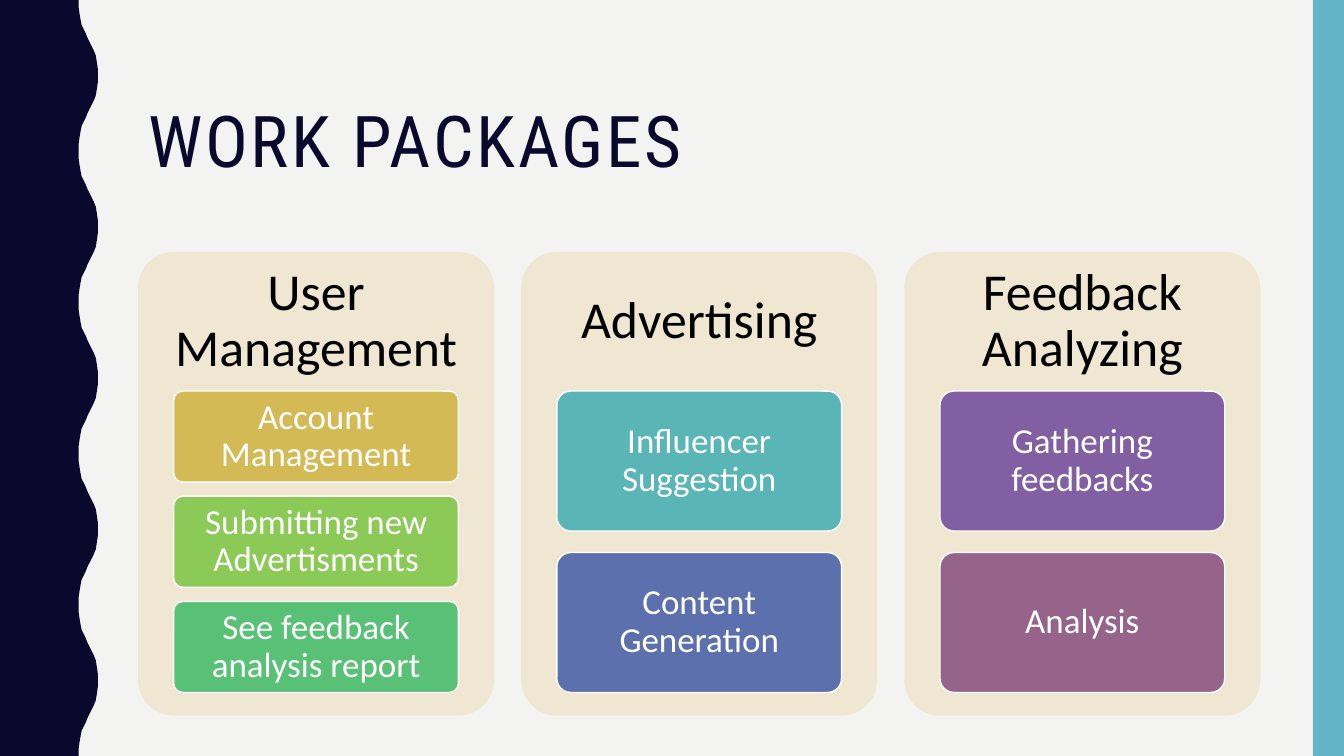
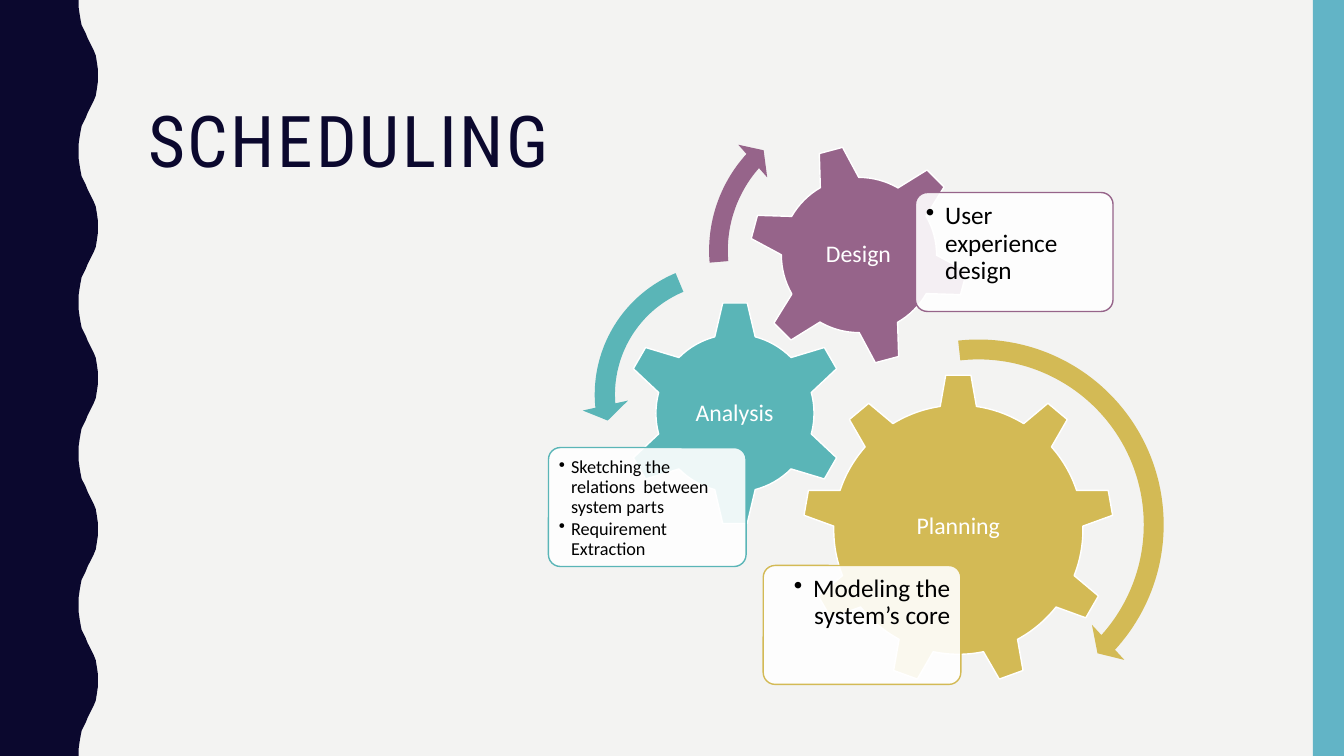
"""Build two project slides: work packages and scheduling."""
from lxml import etree
from pptx import Presentation
from pptx import util as u
from pptx.dml.color import RGBColor
from pptx.enum import shapes, text
from pptx.oxml.ns import qn

NAVY = RGBColor(0x0B, 0x08, 0x2E)
SKY = RGBColor(0x62, 0xB4, 0xC6)
PAPER = RGBColor(0xF3, 0xF3, 0xF2)
SAND = RGBColor(0xEF, 0xE7, 0xD1)
GOLD = RGBColor(0xD3, 0xBA, 0x55)
LIME = RGBColor(0x8B, 0xCA, 0x56)
GREEN = RGBColor(0x58, 0xC1, 0x75)
TEAL = RGBColor(0x5A, 0xB5, 0xB7)
BLUE = RGBColor(0x5C, 0x70, 0xAD)
VIOLET = RGBColor(0x81, 0x5F, 0xA2)
PLUM = RGBColor(0x96, 0x64, 0x8A)
WHITE = RGBColor(0xFF, 0xFF, 0xFF)
BLACK = RGBColor(0, 0, 0)

KIND = shapes.MSO_SHAPE
ALIGN = text.PP_ALIGN
ANCHOR = text.MSO_ANCHOR
WIDTH, HEIGHT = 13.33, 7.5
TITLE_BOX = (1.37, 1, 11.13, 1.05)

WAVE_PERIOD = 1.5
WAVE_RISE = [(0.78, 0), (0.78, 0.07), (0.79, 0.14), (0.8, 0.2), (0.81, 0.25),
             (0.83, 0.29), (0.85, 0.33), (0.87, 0.38), (0.89, 0.42), (0.91, 0.46),
             (0.93, 0.5), (0.95, 0.55), (0.96, 0.61), (0.97, 0.68), (0.97, 0.75)]

PACKAGES = [
    ("User Management", [("Account Management", GOLD),
                         ("Submitting new Advertisments", LIME),
                         ("See feedback analysis report", GREEN)]),
    ("Advertising", [("Influencer Suggestion", TEAL), ("Content Generation", BLUE)]),
    ("Feedback Analyzing", [("Gathering feedbacks", VIOLET), ("Analysis", PLUM)]),
]
PANEL_LEFT, PANEL_TOP, PANEL_WIDTH, PANEL_HEIGHT = 1.37, 2.5, 3.53, 4.6
PANEL_STEP = 3.8
HEADING_SHARE, CARDS_SHARE, CARD_MARGIN = 0.3, 0.65, 0.1
GAP_PER_CARD = 2 / 13

NOTE_SIZE = (1.96, 1.18)
PHASES = [
    {"name": "Planning", "color": GOLD, "gear": KIND.GEAR_9, "at": (7.96, 3.71, 3.09),
     "turn": 0, "label": (8.58, 4.43, 1.85, 1.59), "note": (7.57, 5.61),
     "points": ["Modeling the system’s core"], "size": 18, "indent": 0.19,
     "align": ALIGN.RIGHT},
    {"name": "Analysis", "color": TEAL, "gear": KIND.GEAR_6, "at": (6.17, 2.98, 2.24),
     "turn": 0, "label": (6.73, 3.55, 1.11, 1.11), "note": (5.44, 4.44),
     "points": ["Sketching the relations  between system parts", "Requirement Extraction"],
     "size": 13, "indent": 0.12, "align": ALIGN.LEFT},
    {"name": "Design", "color": PLUM, "gear": KIND.GEAR_6, "at": (7.42, 1.43, 2.2),
     "turn": 345, "label": (7.9, 1.91, 1.23, 1.23), "note": (9.08, 1.91),
     "points": ["User experience design"], "size": 18, "indent": 0.19,
     "align": ALIGN.LEFT},
]
ARROWS = [
    (KIND.CIRCULAR_ARROW, GOLD, (7.73, 3.23, 3.95), (0.05, 2.99, 25.35, 158.22, 0.06)),
    (KIND.LEFT_CIRCULAR_ARROW, TEAL, (5.77, 2.48, 2.87), (0.07, 4.3, 104.89, 148.38, 0.08)),
    (KIND.CIRCULAR_ARROW, PLUM, (6.91, 0.94, 3.09), (0.06, 3.94, 133.14, 105.08, 0.07)),
]


def inches(values):
    return [u.Inches(value) for value in values]


def paint(shape, fill, line=None, opacity=None):
    shape.shadow.inherit = False
    shape.fill.solid()
    shape.fill.fore_color.rgb = fill
    if opacity:
        color = shape._element.spPr.find(qn("a:solidFill"))[0]
        etree.SubElement(color, qn("a:alpha"), val=str(opacity * 1000))
    if line is None:
        shape.line.fill.background()
    else:
        shape.line.color.rgb = line
        shape.line.width = u.Pt(1)
    return shape


def add_block(page, kind, box, fill, adjust=(), **style):
    shape = page.shapes.add_shape(kind, *inches(box))
    for index, value in enumerate(adjust):
        shape.adjustments[index] = value
    return paint(shape, fill, **style)


def write(shape, lines, size, color, font="Calibri", align=ALIGN.CENTER,
          anchor=ANCHOR.MIDDLE, insets=(0.07, 0.05), spacing=None, bullet=None):
    frame = shape.text_frame
    frame.word_wrap = True
    frame.vertical_anchor = anchor
    frame.margin_left = frame.margin_right = u.Inches(insets[0])
    frame.margin_top = frame.margin_bottom = u.Inches(insets[1])
    for index, line in enumerate(lines):
        para = frame.add_paragraph() if index else frame.paragraphs[0]
        para.alignment = align
        para.line_spacing = 0.9
        span = para.add_run()
        span.text = line
        span.font.name = font
        span.font.size = u.Pt(size)
        span.font.color.rgb = color
        if spacing:
            span._r.get_or_add_rPr().set("spc", str(spacing * 100))
        if bullet:
            para.space_after = u.Pt(round(size * 0.15))
            props = para._p.get_or_add_pPr()
            props.set("marL", str(u.Inches(bullet)))
            props.set("indent", str(-u.Inches(bullet)))
            etree.SubElement(props, qn("a:buChar"), char="•")


def add_label(page, box, label, **style):
    write(page.shapes.add_textbox(*inches(box)), [label], **style)


def add_wave(page):
    fall = [(x, WAVE_PERIOD - y) for x, y in reversed(WAVE_RISE[:-1])]
    edge = [(x, y + cycle * WAVE_PERIOD)
            for cycle in range(round(HEIGHT / WAVE_PERIOD)) for x, y in WAVE_RISE + fall]
    outline = page.shapes.build_freeform(0, 0)
    outline.add_line_segments([inches(point) for point in edge + [(0, HEIGHT)]])
    paint(outline.convert_to_shape(), NAVY)


def add_page(deck, title):
    page = deck.slides.add_slide(deck.slide_layouts[6])
    page.background.fill.solid()
    page.background.fill.fore_color.rgb = PAPER
    add_wave(page)
    add_block(page, KIND.RECTANGLE, (WIDTH - 0.31, 0, 0.31, HEIGHT), SKY)
    add_label(page, TITLE_BOX, title, size=51, color=NAVY, font="Roboto Condensed",
              align=ALIGN.LEFT, anchor=ANCHOR.TOP, insets=(0.1, 0.05), spacing=2)
    return page


def add_packages(page):
    heading_height = PANEL_HEIGHT * HEADING_SHARE
    card_width = PANEL_WIDTH * (1 - 2 * CARD_MARGIN)
    for column, (heading, cards) in enumerate(PACKAGES):
        left = PANEL_LEFT + column * PANEL_STEP
        add_block(page, KIND.ROUNDED_RECTANGLE,
                  (left, PANEL_TOP, PANEL_WIDTH, PANEL_HEIGHT), SAND, [0.1])
        add_label(page, (left, PANEL_TOP, PANEL_WIDTH, heading_height), heading,
                  size=37, color=BLACK, insets=(0.15, 0.15))
        units = len(cards) + (len(cards) - 1) * GAP_PER_CARD
        card_height = PANEL_HEIGHT * CARDS_SHARE / units
        for row, (label, color) in enumerate(cards):
            top = PANEL_TOP + heading_height + row * card_height * (1 + GAP_PER_CARD)
            card = add_block(page, KIND.ROUNDED_RECTANGLE,
                             (left + PANEL_WIDTH * CARD_MARGIN, top, card_width, card_height),
                             color, [0.1], line=WHITE)
            write(card, [label], size=25, color=WHITE)


def add_schedule(page):
    for phase in PHASES:
        left, top, side = phase["at"]
        gear = add_block(page, phase["gear"], (left, top, side, side),
                         phase["color"], line=WHITE)
        gear.rotation = phase["turn"]
        add_label(page, phase["label"], phase["name"], size=17, color=WHITE,
                  insets=(0.02, 0.02))
        note = add_block(page, KIND.ROUNDED_RECTANGLE, phase["note"] + NOTE_SIZE, WHITE,
                         [0.1], line=phase["color"], opacity=90)
        write(note, phase["points"], size=phase["size"], color=BLACK,
              align=phase["align"], anchor=ANCHOR.TOP, insets=(0.07, 0.07),
              bullet=phase["indent"])
    for kind, color, (left, top, side), adjust in ARROWS:
        add_block(page, kind, (left, top, side, side), color, adjust)


def main():
    deck = Presentation()
    deck.slide_width, deck.slide_height = inches((WIDTH, HEIGHT))
    add_packages(add_page(deck, "WORK PACKAGES"))
    add_schedule(add_page(deck, "SCHEDULING"))
    deck.save("out.pptx")


if __name__ == "__main__":
    main()
